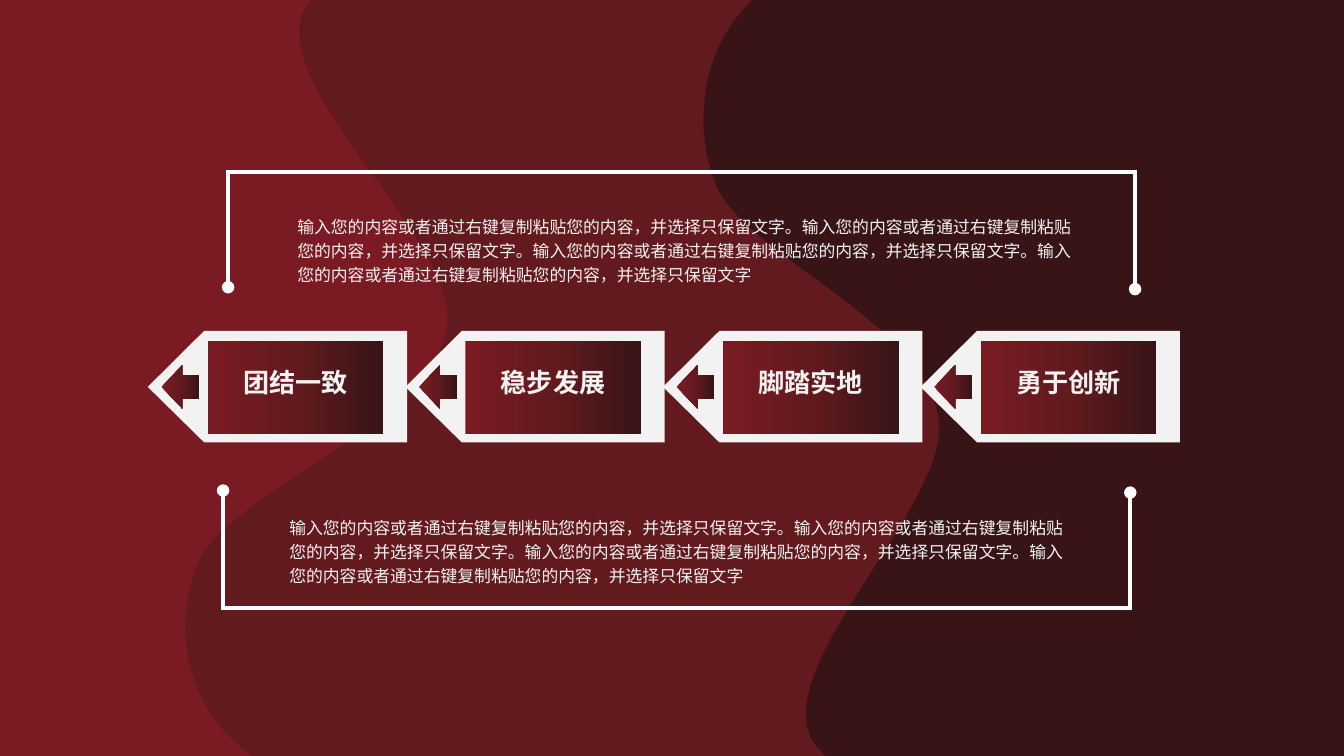
from copy import deepcopy

from lxml import etree
from pptx import Presentation
from pptx import util as u
from pptx.dml.color import RGBColor
from pptx.enum import shapes, text
from pptx.oxml.ns import qn

RED = RGBColor(0x7A, 0x1B, 0x23)
WINE = RGBColor(0x62, 0x1A, 0x1E)
DARK = RGBColor(0x38, 0x14, 0x16)
PALE = RGBColor(0xF2, 0xF2, 0xF2)
WHITE = RGBColor(0xFF, 0xFF, 0xFF)

WIDTH, HEIGHT = 720, 405
PITCH = 138
LABELS = ["团结一致", "稳步发展", "脚踏实地", "勇于创新"]
PART = "输入您的内容或者通过右键复制粘贴您的内容，并选择只保留文字"
NOTE = "。".join([PART] * 4)


def curve(start, *parts, steps=24):
    """Points along a chain of cubic curves, each part two handles and an end."""
    points = [start]
    for one, two, end in parts:
        for step in range(1, steps + 1):
            t = step / steps
            s = 1 - t
            points.append(tuple(
                s**3 * a + 3 * s * s * t * b + 3 * s * t * t * c + t**3 * d
                for a, b, c, d in zip(start, one, two, end)))
        start = end
    return points


class Painter:
    """Holds the slide's style and the slide being drawn."""

    body_font = "Arial"
    label_font = "Noto Sans CJK SC"

    def __init__(self, slide):
        self.slide = slide
        self.shapes = slide.shapes

    def ground(self, color):
        fill = self.slide.background.fill
        fill.solid()
        fill.fore_color.rgb = color

    def outline(self, home, points, closed):
        spots = [(u.Pt(x), u.Pt(y)) for x, y in points]
        form = home.build_freeform(*spots[0])
        form.add_line_segments(spots[1:], close=closed)
        shape = form.convert_to_shape()
        shape.shadow.inherit = False
        return shape

    def area(self, home, points, color):
        shape = self.outline(home, points, True)
        shape.fill.solid()
        shape.fill.fore_color.rgb = color
        shape.line.fill.background()

    def bracket(self, points):
        shape = self.outline(self.shapes, points, False)
        shape.fill.background()
        shape.line.color.rgb = WHITE
        shape.line.width = u.Pt(2.25)
        line = shape._element.spPr.find(qn("a:ln"))
        etree.SubElement(line, qn("a:miter"), lim="800000")
        for end in ("a:headEnd", "a:tailEnd"):
            etree.SubElement(line, qn(end), type="oval")

    def blend(self, home, kind, x, y, w, h):
        shape = home.add_shape(kind, u.Pt(x), u.Pt(y), u.Pt(w), u.Pt(h))
        shape.shadow.inherit = False
        shape.line.fill.background()
        fill = shape.fill
        fill.gradient()
        fill.gradient_angle = 0
        stops = shape._element.spPr.find(".//" + qn("a:gsLst"))
        stops.append(deepcopy(stops[0]))
        for stop, place, color in zip(fill.gradient_stops, (0, 0.5, 1),
                                      (RED, WINE, DARK)):
            stop.position = place
            stop.color.rgb = color
        return shape

    def words(self, home, copy, x, y, w, h, size, font, bold=False,
              align=text.PP_ALIGN.LEFT, space=1.0):
        box = home.add_textbox(u.Pt(x), u.Pt(y), u.Pt(w), u.Pt(h))
        frame = box.text_frame
        frame.word_wrap = True
        frame.auto_size = text.MSO_AUTO_SIZE.SHAPE_TO_FIT_TEXT
        frame.margin_left = frame.margin_right = u.Pt(5)
        frame.margin_top = frame.margin_bottom = u.Pt(2.6)
        para = frame.paragraphs[0]
        para.alignment = align
        para.line_spacing = space
        run = para.add_run()
        run.text = copy
        run.font.size = u.Pt(size)
        run.font.bold = bold
        run.font.name = font
        run.font.color.rgb = PALE
        etree.SubElement(run.font._element, qn("a:ea"), typeface=font)

    def note(self, x, y):
        self.words(self.shapes, NOTE, x, y, 427, 44.6, 9, self.body_font,
                   space=1.2)

    def pencil(self, x, label):
        home = self.shapes.add_group_shape().shapes
        self.area(home, [(x + 30.2, 177.3), (x + 138.9, 177.3),
                         (x + 138.9, 237), (x + 30.2, 237), (x, 207.3)], PALE)
        self.blend(home, shapes.MSO_SHAPE.RECTANGLE, x + 32.2, 182.7, 94, 49.8)
        tip = self.blend(home, shapes.MSO_SHAPE.LEFT_ARROW,
                         x + 7.3, 195.7, 20.3, 23.2)
        tip.adjustments[0] = 0.54
        tip.adjustments[1] = 0.55
        self.words(home, label, x + 32.2, 193.4, 94, 22.3, 14,
                   self.label_font, True, text.PP_ALIGN.CENTER)


def main():
    deck = Presentation()
    deck.slide_width, deck.slide_height = u.Pt(WIDTH), u.Pt(HEIGHT)
    pen = Painter(deck.slides.add_slide(deck.slide_layouts[6]))

    # Background waves
    pen.ground(WINE)
    left = curve((164.2, 2.9),
                 ((137.5, 43.9), (250.6, 131.8), (239, 177.8)),
                 ((226.1, 230.4), (121.7, 264.2), (105.8, 301.7)),
                 ((95, 327.6), (95, 370.1), (126.7, 398.2)))
    pen.area(pen.shapes, [(0, 0), (166.3, 0), *left, (135.4, HEIGHT),
                          (0, HEIGHT)], RED)
    right = curve((442.3, HEIGHT),
                  ((396.7, 368.6), (513.4, 270.7), (502.6, 221.8)),
                  ((491, 169.9), (397.4, 135.4), (383, 97.9)),
                  ((373, 72), (373, 29.5), (401.8, 1.4)))
    pen.area(pen.shapes, [(403.2, 0), (WIDTH, 0), (WIDTH, HEIGHT), *right],
             DARK)

    # Brackets with their notes
    pen.bracket([(122.2, 153.9), (122.2, 92.2), (608.1, 92.2), (608.1, 154.9)])
    pen.bracket([(605.5, 263.9), (605.5, 325.8), (119.5, 325.8),
                 (119.5, 262.8)])
    pen.note(150, 272.5)
    pen.note(154.3, 111.3)

    # Row of pencils
    for place, label in enumerate(LABELS):
        pen.pencil(79.2 + place * PITCH, label)

    deck.save("out.pptx")


if __name__ == "__main__":
    main()
